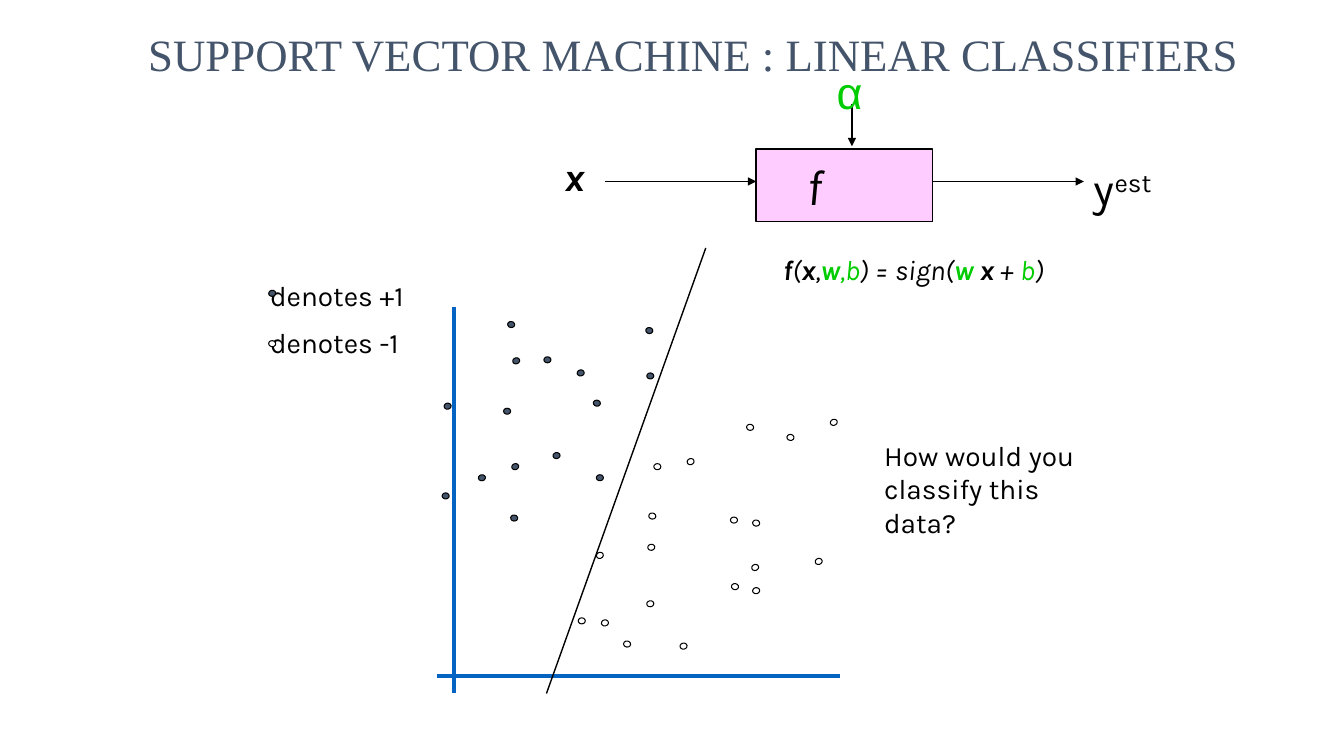
from lxml import etree
from pptx import Presentation
from pptx.dml.color import RGBColor
from pptx.enum.shapes import MSO_CONNECTOR, MSO_SHAPE
from pptx.enum.text import MSO_ANCHOR, PP_ALIGN
from pptx.oxml.ns import qn
from pptx.util import Inches, Pt

STRAIGHT = MSO_CONNECTOR.STRAIGHT
OVAL, RECTANGLE = MSO_SHAPE.OVAL, MSO_SHAPE.RECTANGLE
MIDDLE, BOTTOM = MSO_ANCHOR.MIDDLE, MSO_ANCHOR.BOTTOM
CENTER = PP_ALIGN.CENTER

HEX = {"slate": "44546A", "pink": "FFCCFF", "black": "000000",
       "green": "00CC00", "blue": "0563C1", "white": "FFFFFF"}
COLOURS = {name: RGBColor.from_string(code) for name, code in HEX.items()}


def add_label(left, top, width, height, lines, size, colour="black", font="Karla"):
    box = page.shapes.add_textbox(Inches(left), Inches(top), Inches(width), Inches(height))
    frame = box.text_frame
    frame.word_wrap = True
    for index, line in enumerate(lines):
        para = frame.add_paragraph() if index else frame.paragraphs[0]
        para.text = line
        para.font.name = font
        para.font.size = Pt(size)
        para.font.color.rgb = COLOURS[colour]
        if index:
            para.space_before = Pt(size / 2)
    return frame


def add_line(start, end, colour="black", width=1, arrow=False):
    line = page.shapes.add_connector(STRAIGHT, *map(Inches, start + end))
    line.line.color.rgb = COLOURS[colour]
    line.line.width = Pt(width)
    etree.SubElement(line._element.spPr, qn("a:effectLst"))
    if arrow:
        etree.SubElement(line.line._get_or_add_ln(), qn("a:tailEnd"), type="triangle")


deck = Presentation()
deck.slide_width = Inches(13.33)
deck.slide_height = Inches(7.5)
page = deck.slides.add_slide(deck.slide_layouts[6])

title = add_label(1.26, 0.1, 11.44, 0.75, ["SUPPORT VECTOR MACHINE : LINEAR CLASSIFIERS"],
                  32, "slate", "Times New Roman")
title.vertical_anchor = BOTTOM
title.margin_left = Inches(0.21)

# Classifier diagram: x and α go into f, y comes out
classifier = page.shapes.add_shape(RECTANGLE, Inches(7.5), Inches(1.48), Inches(1.75), Inches(0.72))
classifier.shadow.inherit = False
classifier.fill.solid()
classifier.fill.fore_color.rgb = COLOURS["pink"]
classifier.line.color.rgb = COLOURS["black"]
classifier.line.width = Pt(1)
frame = classifier.text_frame
frame.vertical_anchor = MIDDLE
frame.margin_right = Inches(0.7)
para = frame.paragraphs[0]
para.text = "f"
para.alignment = CENTER
para.font.name = "Karla"
para.font.size = Pt(36)
para.font.italic = True
para.font.color.rgb = COLOURS["black"]

for start, end in [((6, 1.8), (7.5, 1.8)), ((8.45, 1.03), (8.45, 1.45)),
                   ((9.25, 1.8), (10.75, 1.8))]:
    add_line(start, end, arrow=True)

input_font = add_label(5.5, 1.46, 0.67, 0.57, ["x"], 28).paragraphs[0].font
input_font.bold = input_font.italic = True
add_label(8.2, 0.59, 0.42, 0.63, ["α"], 32, "green", "Arial")
estimate = add_label(10.75, 1.55, 0.92, 0.63, ["y"], 32).paragraphs[0].add_run()
estimate.text = "est"
estimate.font._element.set("baseline", "30000")

# Formula: text, colour, bold
formula = add_label(7.67, 2.46, 3.5, 0.43, [""], 20).paragraphs[0]
formula.font.italic = True
for text, colour, bold in [
        ("f", "black", True), ("(", "black", False), ("x", "black", True),
        (",", "black", False), ("w", "green", True), (",b", "green", False),
        (") = sign(", "black", False), ("w", "green", True), (" x ", "black", True),
        ("+ ", "black", False), ("b", "green", False), (")", "black", False)]:
    span = formula.add_run()
    span.text = text
    span.font.bold = bold
    span.font.color.rgb = COLOURS[colour]

# Scatter plot with its legend
add_label(2.58, 2.71, 2.08, 0.93, ["denotes +1", "denotes -1"], 20)
add_line((4.5, 3.05), (4.5, 6.88), "blue", 3)
add_line((4.33, 6.71), (8.33, 6.71), "blue", 3)

# Dot centres by fill and tilt in degrees; the first ones at x = 2.7 are the legend keys
DOT_WIDTH, DOT_HEIGHT = 0.07, 0.06
dots = {
    ("slate", -10.4): [(2.7, 2.91), (5.52, 4.52), (4.78, 4.74), (5.76, 3.7), (4.44, 4.03)],
    ("white", 8.3): [(2.7, 3.41), (6.22, 6.39), (7.5, 5.19), (6.47, 5.12), (7.84, 4.34),
                     (7.44, 4.24), (7.29, 5.82)],
    ("slate", 0): [(4.42, 4.92), (6.45, 3.73), (5.43, 3.57), (5.95, 4.74), (5.03, 4.08)],
    ("white", 0): [(5.77, 6.16), (6.52, 4.63), (7.28, 5.16)],
    ("slate", -18.6): [(5.12, 3.58), (5.11, 4.63)],
    ("white", -18.6): [(5.95, 5.51), (8.27, 4.19), (7.49, 5.63), (6.85, 4.58), (8.12, 5.57)],
    ("slate", 8.3): [(5.92, 4), (5.1, 5.14), (6.44, 3.28), (5.07, 3.22)],
    ("white", -10.4): [(6.78, 6.41), (6.45, 5.99), (6.46, 5.43), (6, 6.18), (7.5, 5.86)],
}
for (colour, tilt), centres in dots.items():
    for x, y in centres:
        dot = page.shapes.add_shape(OVAL, Inches(x - DOT_WIDTH / 2), Inches(y - DOT_HEIGHT / 2),
                                    Inches(DOT_WIDTH), Inches(DOT_HEIGHT))
        dot.rotation = tilt
        dot.shadow.inherit = False
        dot.fill.solid()
        dot.fill.fore_color.rgb = COLOURS[colour]
        dot.line.color.rgb = COLOURS["black"]
        dot.line.width = Pt(0.75)

add_line((5.42, 6.88), (7, 2.46))
add_label(8.67, 4.3, 2.42, 0.77, ["How would you classify this data?"], 20)

deck.save("out.pptx")
